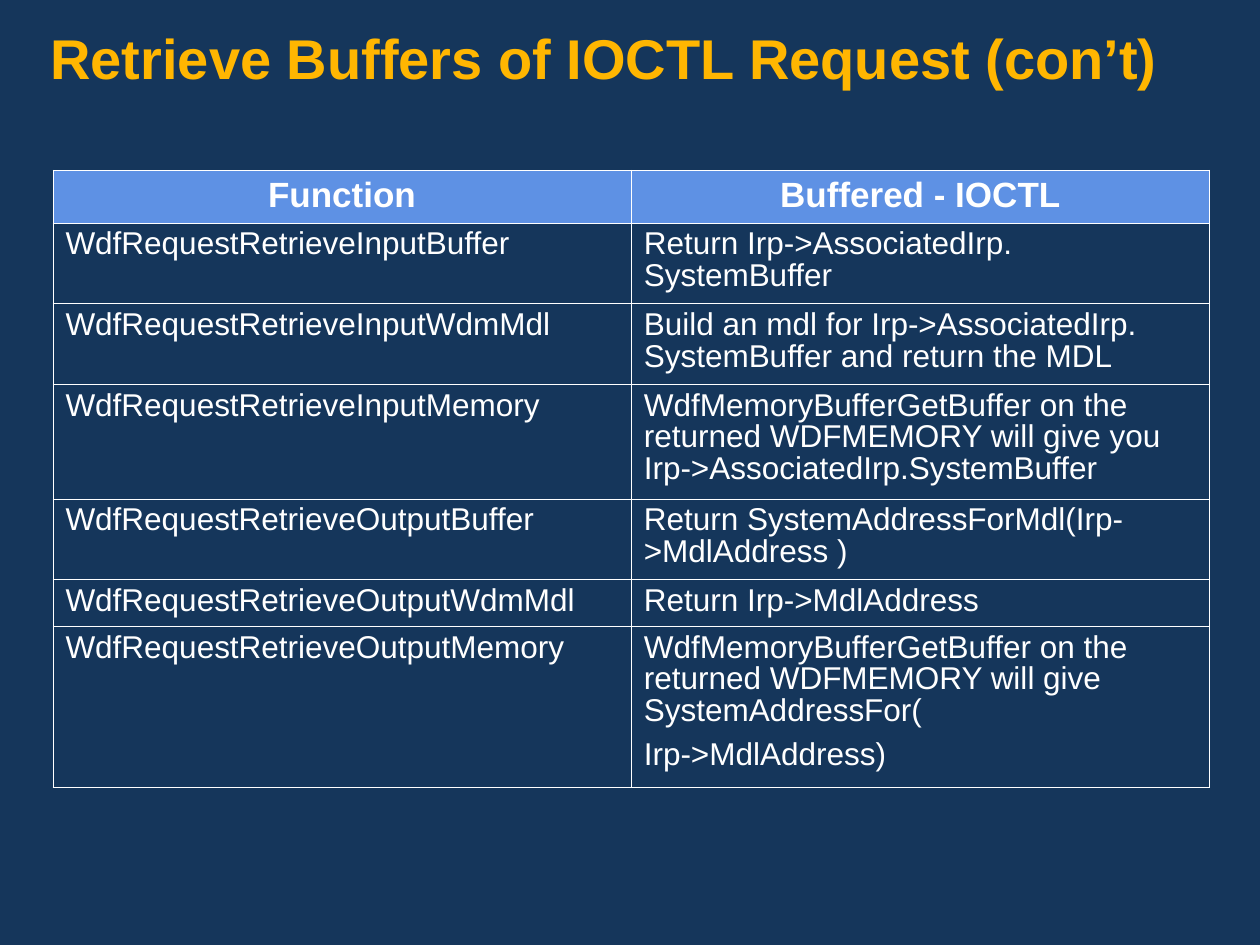
"""Build a slide with a table of buffer retrieval functions for IOCTL requests."""
import pptx
import pptx.dml.color
import pptx.enum.text
import pptx.oxml
import pptx.oxml.ns
import pptx.util

Inches = pptx.util.Inches
Pt = pptx.util.Pt
ALIGN = pptx.enum.text.PP_ALIGN
ANCHOR = pptx.enum.text.MSO_ANCHOR

COLORS = {"page": "15365B", "title": "FFB601", "header": "5E91E4", "text": "FFFFFF", "border": "FFFFFF"}
TITLE_FONT = {"name": "Arial", "size": Pt(32), "bold": True}
HEADER_FONT = {"name": "Arial", "size": Pt(20), "bold": True}
BODY_FONT = {"name": "Arial", "size": Pt(18), "bold": False}

ROW_HEIGHTS = [0.42, 0.64, 0.64, 0.91, 0.64, 0.37, 1.28]
COLUMN_WIDTH = 4.59
ROWS = [
    ("Function", "Buffered - IOCTL"),
    ("WdfRequestRetrieveInputBuffer", "Return Irp->AssociatedIrp. SystemBuffer"),
    ("WdfRequestRetrieveInputWdmMdl", "Build an mdl for Irp->AssociatedIrp. SystemBuffer and return the MDL"),
    ("WdfRequestRetrieveInputMemory",
     "WdfMemoryBufferGetBuffer on the returned WDFMEMORY will give you Irp->AssociatedIrp.SystemBuffer"),
    ("WdfRequestRetrieveOutputBuffer", "Return SystemAddressForMdl(Irp->MdlAddress )"),
    ("WdfRequestRetrieveOutputWdmMdl", "Return Irp->MdlAddress"),
    ("WdfRequestRetrieveOutputMemory",
     "WdfMemoryBufferGetBuffer on the returned WDFMEMORY will give SystemAddressFor(\nIrp->MdlAddress)"),
]


def rgb(name):
    """Return the named colour."""
    return pptx.dml.color.RGBColor.from_string(COLORS[name])


def write_text(frame, text, font, color, align=ALIGN.LEFT):
    """Fill a text frame with one paragraph per line of text."""
    frame.word_wrap = True
    for index, line in enumerate(text.split("\n")):
        para = frame.add_paragraph() if index else frame.paragraphs[0]
        para.alignment = align
        para.line_spacing = 0.9
        if index:
            para.space_before = Pt(6.8)
        span = para.add_run()
        span.text = line
        for key, value in font.items():
            setattr(span.font, key, value)
        span.font.color.rgb = rgb(color)


def add_title(page, text):
    """Add the title across the top of the page."""
    box = page.shapes.add_textbox(0, 0, Inches(10), Inches(0.75))
    margins = {"margin_left": 0.4, "margin_top": 0.25, "margin_right": 0.4, "margin_bottom": 0.05}
    for key, value in margins.items():
        setattr(box.text_frame, key, Inches(value))
    write_text(box.text_frame, text, TITLE_FONT, "title")


def add_borders(cell):
    """Draw a thin line on all four sides of a cell."""
    properties = cell._tc.get_or_add_tcPr()
    for index, side in enumerate("LRTB"):
        properties.insert(index, pptx.oxml.parse_xml(
            f'<a:ln{side} {pptx.oxml.ns.nsdecls("a")} w="{Pt(0.45)}"><a:solidFill>'
            f'<a:srgbClr val="{COLORS["border"]}"/></a:solidFill></a:ln{side}>'))


def fill_cell(cell, text, is_header):
    """Write and format one table cell."""
    if is_header:
        cell.fill.solid()
        cell.fill.fore_color.rgb = rgb("header")
        cell.vertical_anchor = ANCHOR.MIDDLE
        write_text(cell.text_frame, text, HEADER_FONT, "text", ALIGN.CENTER)
    else:
        cell.fill.background()
        cell.vertical_anchor = ANCHOR.TOP
        write_text(cell.text_frame, text, BODY_FONT, "text")
    add_borders(cell)


def add_function_table(page):
    """Add the table of functions and the buffers they return."""
    columns = len(ROWS[0])
    table = page.shapes.add_table(
        len(ROWS), columns, Inches(0.42), Inches(1.35),
        Inches(COLUMN_WIDTH * columns), Inches(sum(ROW_HEIGHTS))).table
    table.first_row = True
    table.horz_banding = False
    for column in table.columns:
        column.width = Inches(COLUMN_WIDTH)
    for row_index, (height, texts) in enumerate(zip(ROW_HEIGHTS, ROWS)):
        table.rows[row_index].height = Inches(height)
        for column_index, text in enumerate(texts):
            fill_cell(table.cell(row_index, column_index), text, row_index == 0)


def main():
    """Build and save the deck."""
    deck = pptx.Presentation()
    deck.slide_width, deck.slide_height = Inches(10), Inches(7.5)
    page = deck.slides.add_slide(deck.slide_layouts[6])
    page.background.fill.solid()
    page.background.fill.fore_color.rgb = rgb("page")
    add_title(page, "Retrieve Buffers of IOCTL Request (con’t)")
    add_function_table(page)
    deck.save("out.pptx")


if __name__ == "__main__":
    main()
